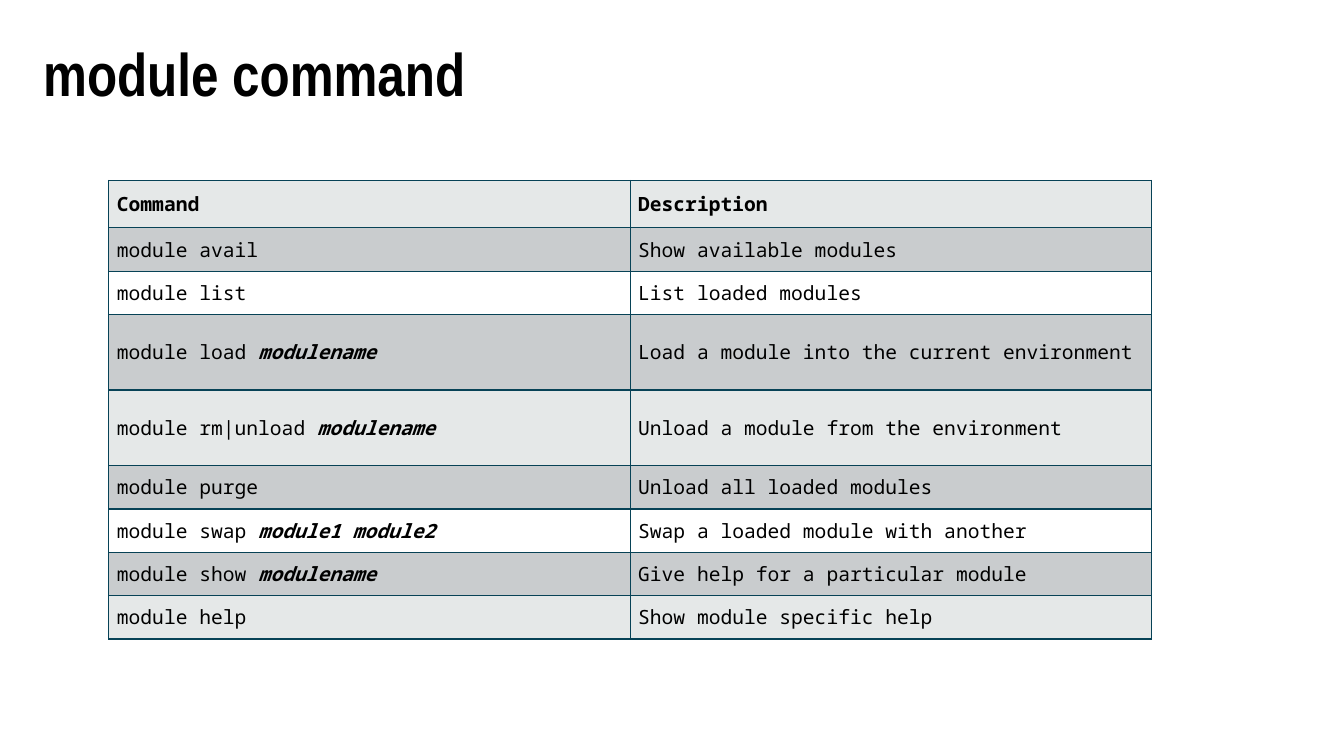
from lxml.etree import SubElement
from pptx import Presentation
from pptx.dml.color import RGBColor
from pptx.enum.text import MSO_ANCHOR
from pptx.oxml.ns import qn
from pptx.util import Inches, Pt

BLACK = RGBColor(0x00, 0x00, 0x00)
TEAL = RGBColor(0x07, 0x42, 0x56)
LIGHT = RGBColor(0xE5, 0xE8, 0xE8)
GREY = RGBColor(0xC9, 0xCC, 0xCE)

# Row height, fill, command, argument, description
ROWS = [
    (0.47, LIGHT, "Command", "", "Description"),
    (0.43, GREY, "module avail", "", "Show available modules"),
    (0.43, None, "module list", "", "List loaded modules"),
    (0.75, GREY, "module load ", "modulename", "Load a module into the current environment"),
    (0.75, LIGHT, "module rm|unload ", "modulename", "Unload a module from the environment"),
    (0.43, GREY, "module purge", "", "Unload all loaded modules"),
    (0.43, None, "module swap ", "module1 module2", "Swap a loaded module with another"),
    (0.43, GREY, "module show ", "modulename", "Give help for a particular module"),
    (0.43, LIGHT, "module help", "", "Show module specific help"),
]


class Deck:
    title_font = "Arial Narrow"
    code_font = "Noto Sans Mono"

    def __init__(self, slide):
        self.slide = slide

    def add_run(self, p, text, font, size, bold=False, italic=False):
        r = p.add_run()
        r.text = text
        r.font.name, r.font.size = font, Pt(size)
        r.font.bold, r.font.italic = bold, italic
        r.font.color.rgb = BLACK

    def title(self, text, left, top, width, height):
        box = self.slide.shapes.add_textbox(
            Inches(left), Inches(top), Inches(width), Inches(height))
        tf = box.text_frame
        tf.word_wrap = True
        p = tf.paragraphs[0]
        p.line_spacing = 0.9
        self.add_run(p, text, self.title_font, 43, bold=True)

    def border(self, cell):
        """Draw a thin line on all four sides; call before filling the cell."""
        tc_pr = cell._tc.get_or_add_tcPr()
        for side in ("a:lnL", "a:lnR", "a:lnT", "a:lnB"):
            ln = SubElement(tc_pr, qn(side), w=str(Pt(1)))
            fill = SubElement(ln, qn("a:solidFill"))
            SubElement(fill, qn("a:srgbClr"), val=str(TEAL))

    def cell(self, cell, fill, text, argument="", bold=False):
        cell.vertical_anchor = MSO_ANCHOR.MIDDLE
        cell.margin_left = cell.margin_right = Inches(0.08)
        cell.margin_top = cell.margin_bottom = Inches(0.03)
        self.border(cell)
        if fill is None:
            cell.fill.background()
        else:
            cell.fill.solid()
            cell.fill.fore_color.rgb = fill
        p = cell.text_frame.paragraphs[0]
        self.add_run(p, text, self.code_font, 14, bold)
        if argument:
            self.add_run(p, argument, self.code_font, 14, bold=True, italic=True)

    def command_table(self, rows, left, top, col_width):
        height = sum(row[0] for row in rows)
        table = self.slide.shapes.add_table(
            len(rows), 2, Inches(left), Inches(top),
            Inches(2 * col_width), Inches(height)).table
        table.horz_banding = False
        for i, (row_height, fill, command, argument, description) in enumerate(rows):
            table.rows[i].height = Inches(row_height)
            self.cell(table.cell(i, 0), fill, command, argument, bold=i == 0)
            self.cell(table.cell(i, 1), fill, description, bold=i == 0)


def main():
    prs = Presentation()
    prs.slide_width, prs.slide_height = Inches(13.33), Inches(7.5)
    deck = Deck(prs.slides.add_slide(prs.slide_layouts[6]))
    deck.title("module command", 0.33, 0.39, 8.15, 0.81)
    deck.command_table(ROWS, 1.08, 1.79, 5.17)
    prs.save("out.pptx")


if __name__ == "__main__":
    main()
